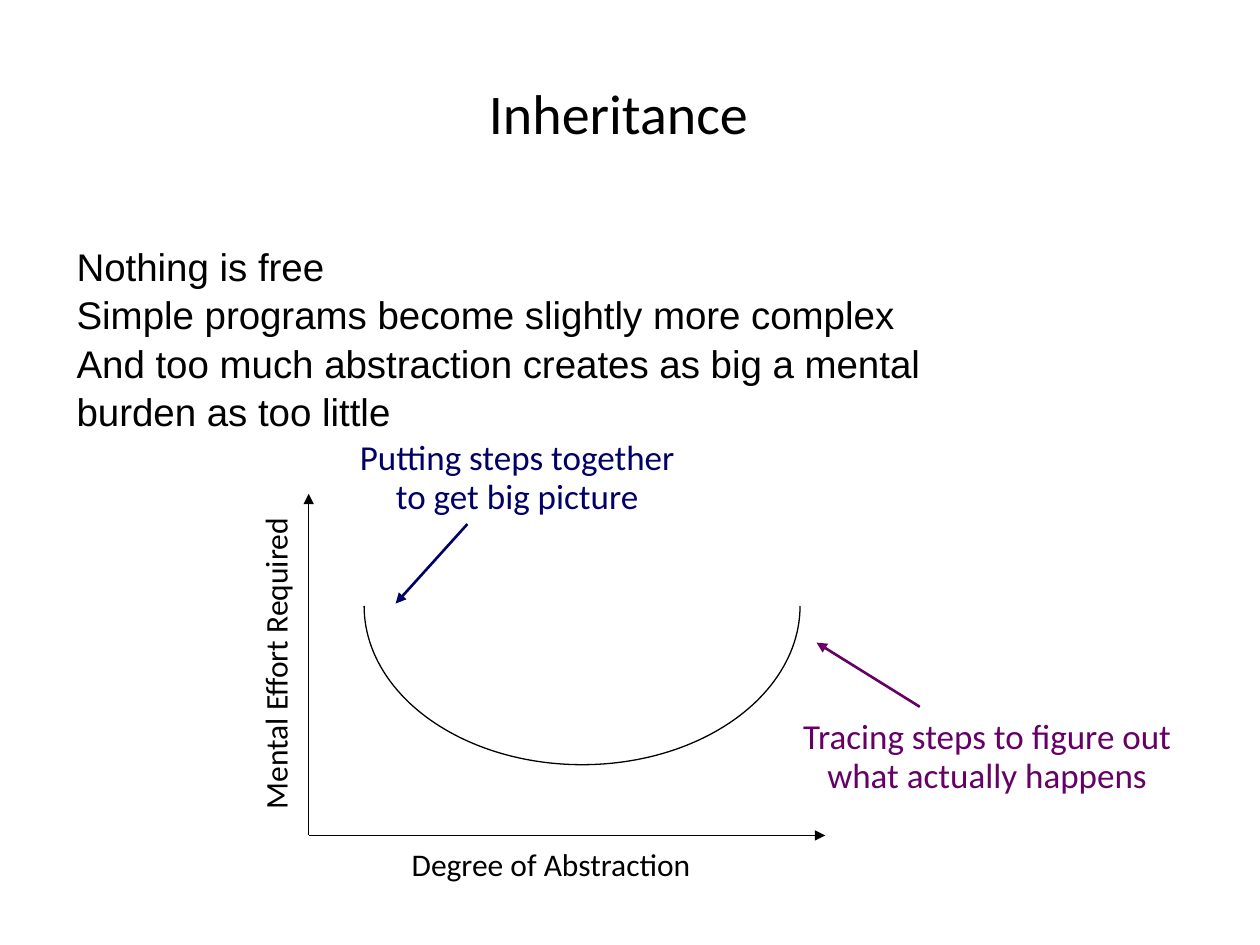
from lxml import etree
from pptx import Presentation
from pptx.dml.color import RGBColor
from pptx.enum import shapes, text
from pptx.oxml import ns
from pptx.util import Pt

BLACK = RGBColor(0x00, 0x00, 0x00)
NAVY = RGBColor(0x00, 0x00, 0x66)
PURPLE = RGBColor(0x66, 0x00, 0x66)

BODY_LINES = [
    "Nothing is free",
    "Simple programs become slightly more complex",
    "And too much abstraction creates as big a mental",
    "burden as too little",
]


def add_text(slide, lines, box, size, color=BLACK, font="Calibri", spacing=0.93,
             align=text.PP_ALIGN.LEFT, anchor=text.MSO_ANCHOR.TOP,
             wrap=False, rotation=0):
    shape = slide.shapes.add_textbox(*map(Pt, box))
    shape.rotation = rotation
    frame = shape.text_frame
    frame.word_wrap = wrap
    frame.vertical_anchor = anchor
    frame.text = "\n".join(lines)
    for paragraph in frame.paragraphs:
        paragraph.alignment = align
        paragraph.line_spacing = spacing
        paragraph.font.name = font
        paragraph.font.size = Pt(size)
        paragraph.font.color.rgb = color


def add_arrow(slide, start, end, color=BLACK, width=0.75):
    connector = slide.shapes.add_connector(
        shapes.MSO_CONNECTOR.STRAIGHT, *map(Pt, start + end))
    connector.line.color.rgb = color
    connector.line.width = Pt(width)
    line = connector.line._get_or_add_ln()
    etree.SubElement(line, ns.qn("a:tailEnd"), type="triangle")
    etree.SubElement(connector._element.spPr, ns.qn("a:effectLst"))


def add_lower_arc(slide, box):
    """Draw the lower half of the ellipse that fills the box."""
    shape = slide.shapes.add_shape(shapes.MSO_SHAPE.ARC, *map(Pt, box))
    # Angles are in 60000ths of a degree, scaled down by 100000
    shape.adjustments[0] = 0
    shape.adjustments[1] = 180 * 0.6
    shape.shadow.inherit = False
    shape.fill.background()
    shape.line.color.rgb = BLACK
    shape.line.width = Pt(0.75)


def add_callout(slide, lines, box, start, end, color):
    add_text(slide, lines, box, 20, color, align=text.PP_ALIGN.CENTER)
    add_arrow(slide, start, end, color, 1.5)


def main():
    presentation = Presentation()
    presentation.slide_width = Pt(720)
    presentation.slide_height = Pt(540)
    slide = presentation.slides.add_slide(presentation.slide_layouts[6])

    # Title and body
    add_text(slide, ["Inheritance"], (29.5, 21.6, 648, 90), 32, spacing=0.9,
             align=text.PP_ALIGN.CENTER, anchor=text.MSO_ANCHOR.MIDDLE, wrap=True)
    add_text(slide, BODY_LINES, (36.7, 133.9, 657.4, 113.8), 22,
             font="Arial", spacing=1.05, wrap=True)

    # Axes and their labels
    origin = (176.4, 477.4)
    add_arrow(slide, origin, (471.6, 477.4))
    add_arrow(slide, origin, (176.4, 282.2))
    add_text(slide, ["Degree of Abstraction"], (228.2, 481, 175.7, 27.4), 18)
    add_text(slide, ["Mental Effort Required"], (64.8, 362.2, 187.2, 27.4), 18,
             rotation=270)

    # Effort curve
    add_lower_arc(slide, (208.1, 255.6, 249.1, 181.4))

    # Callouts
    add_callout(slide, ["Putting steps together", "to get big picture"],
                (197.3, 247.7, 196.6, 52.6), (267.1, 299.5), (226.1, 344.9), NAVY)
    add_callout(slide, ["Tracing steps to figure out", "what actually happens"],
                (450.7, 406.8, 226.8, 52.6), (525.6, 403.9), (466.6, 367.2), PURPLE)

    presentation.save("out.pptx")


if __name__ == "__main__":
    main()
